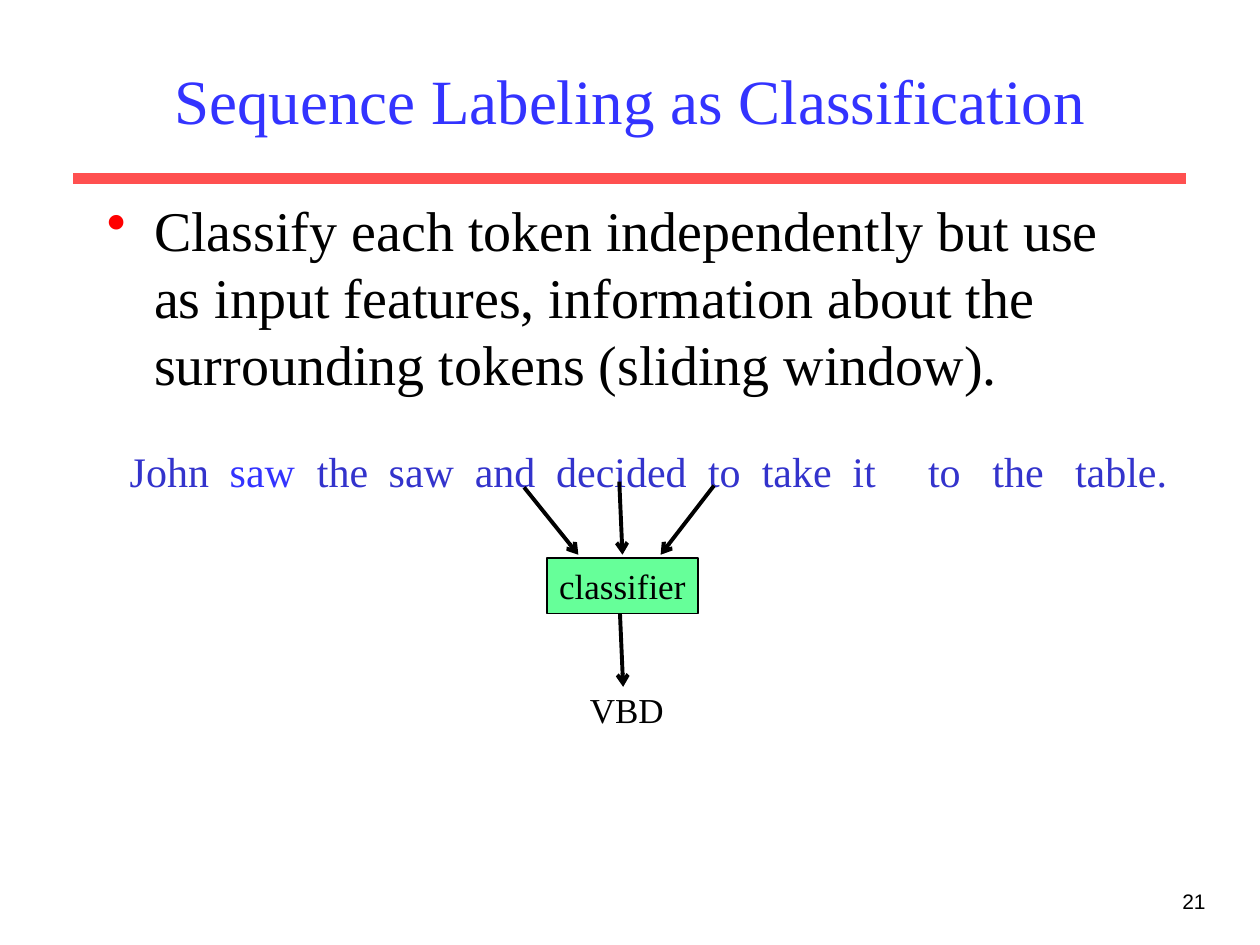
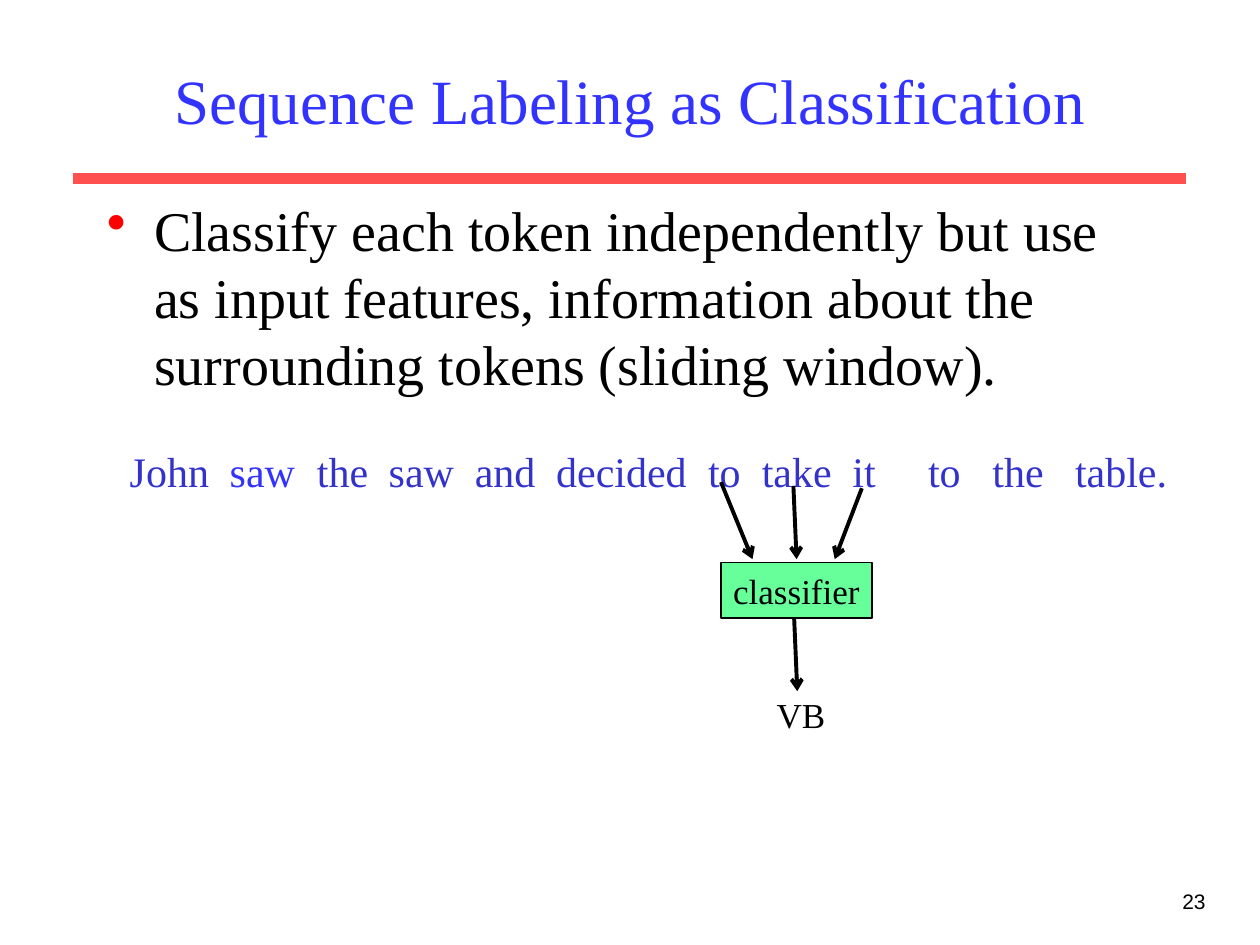
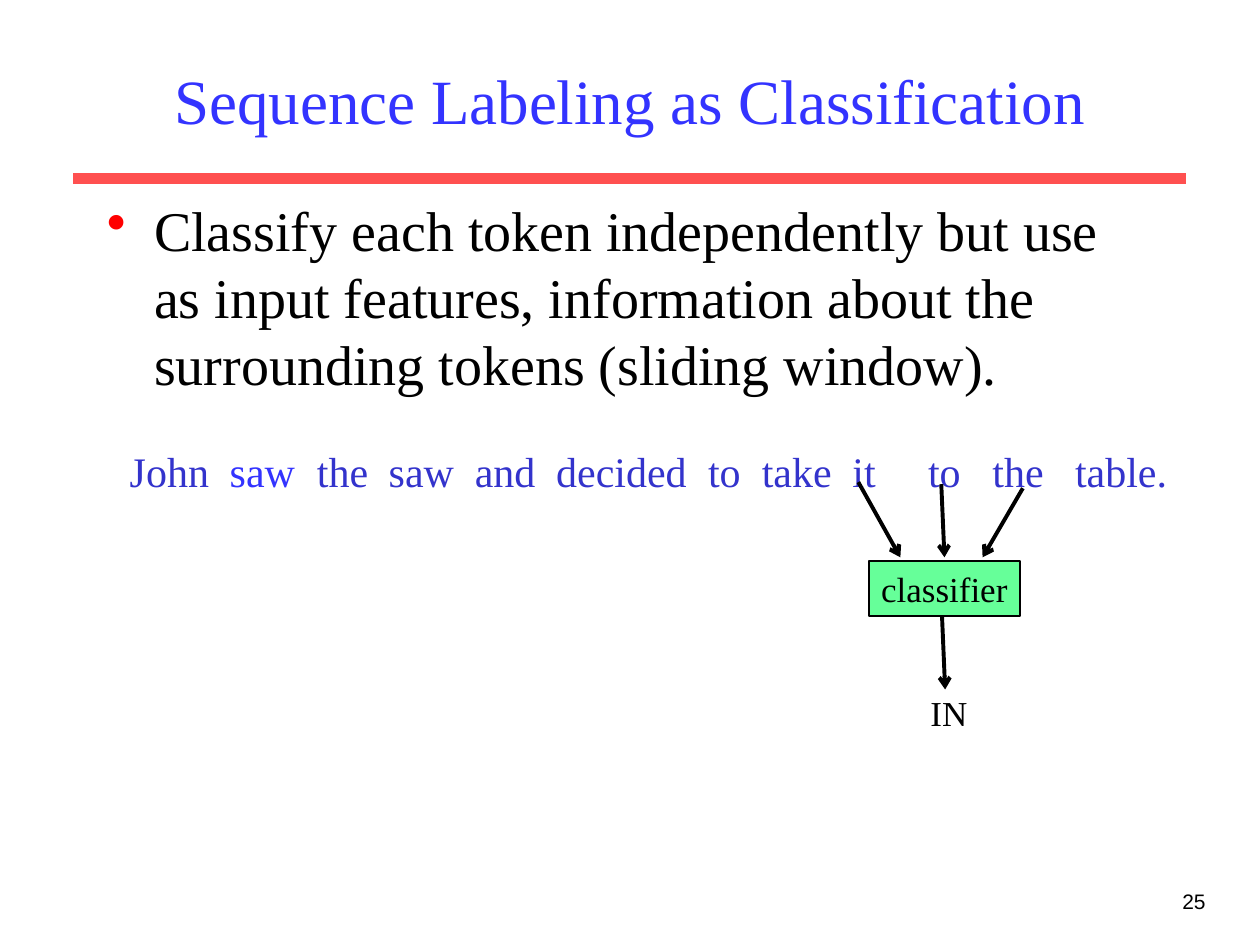
import pptx
import pptx.dml.color
import pptx.enum.shapes
import pptx.enum.text
import pptx.oxml
import pptx.oxml.ns
import pptx.util
from lxml import etree

Pt = pptx.util.Pt
ALIGN = pptx.enum.text.PP_ALIGN
ANCHOR = pptx.enum.text.MSO_ANCHOR
COLORS = {
    "title": "3333FF", "rule": "FF5050", "text": "000000", "bullet": "FF0000",
    "sentence": "3333CC", "focus": "3333FF", "classifier": "66FF99",
}
RGB = {name: pptx.dml.color.RGBColor.from_string(value) for name, value in COLORS.items()}
SERIF = "Times New Roman"

TITLE = "Sequence Labeling as Classification"
BODY = ("Classify each token independently but use as input features, "
        "information about the surrounding tokens (sliding window).")
# Each word of the sentence with its distance from the first one
WORDS = [("John", 0), ("saw", 57.15), ("the", 107), ("saw", 148), ("and", 197.2),
         ("decided", 243.7), ("to", 330.5), ("take", 361.2), ("it", 413),
         ("to", 456.2), ("the", 493), ("table.", 540.2)]
FOCUS = 1

# Classifier corner, and where the outer arrows start relative to it
SLIDES = [
    {"number": "21", "tag": "VBD", "tag_width": 57, "corner": (312.5, 319),
     "left": (-13, -40.5), "right": (95.5, -41.5)},
    {"number": "23", "tag": "VB", "tag_width": 42, "corner": (412, 321.5),
     "left": (0, -46), "right": (80.5, -42.5)},
    {"number": "25", "tag": "IN", "tag_width": 37, "corner": (496.5, 320.5),
     "left": (-6, -45), "right": (88, -41.5)},
]
BOX_WIDTH, BOX_HEIGHT = 86.4, 31.7


def write(sp, text, size, font=SERIF, color="text", align=ALIGN.LEFT, **frame):
    """Fill the first paragraph of a shape and return it."""
    tf = sp.text_frame
    for name, value in {"word_wrap": True, **frame}.items():
        setattr(tf, name, value)
    p = tf.paragraphs[0]
    p.alignment = align
    r = p.add_run()
    r.text = text
    r.font.name, r.font.size = font, Pt(size)
    r.font.color.rgb = RGB[color]
    return p


def draw_line(s, start, end, width, color="text", arrow=False):
    line = s.shapes.add_connector(pptx.enum.shapes.MSO_CONNECTOR.STRAIGHT,
                                  *(Pt(v) for v in (*start, *end)))
    line.line.width = Pt(width)
    line.line.color.rgb = RGB[color]
    if arrow:
        etree.SubElement(line.line._get_or_add_ln(), pptx.oxml.ns.qn("a:tailEnd"), type="arrow")
    etree.SubElement(line._element.spPr, pptx.oxml.ns.qn("a:effectLst"))


prs = pptx.Presentation()
prs.slide_width, prs.slide_height = Pt(720), Pt(540)

for info in SLIDES:
    s = prs.slides.add_slide(prs.slide_layouts[5])
    draw_line(s, (42, 102), (678, 102), 6, "rule")

    sp = s.shapes.add_textbox(Pt(546), Pt(504), Pt(150), Pt(36))
    write(sp, info["number"], 12, font="Arial", align=ALIGN.RIGHT)

    sp = s.shapes.title
    sp.left, sp.top, sp.width, sp.height = Pt(54), Pt(18), Pt(612), Pt(78)
    write(sp, TITLE, 36, color="title", align=ALIGN.CENTER, vertical_anchor=ANCHOR.MIDDLE)

    sp = s.shapes.add_textbox(Pt(54), Pt(108), Pt(612), Pt(369))
    p = write(sp, BODY, 32)
    pPr = p._p.get_or_add_pPr()
    pPr.set("marL", str(Pt(27)))
    pPr.set("indent", str(Pt(-27)))
    bullet_color = etree.SubElement(pPr, pptx.oxml.ns.qn("a:buClr"))
    etree.SubElement(bullet_color, pptx.oxml.ns.qn("a:srgbClr"), val=COLORS["bullet"])
    etree.SubElement(pPr, pptx.oxml.ns.qn("a:buChar"), char="•")

    sp = s.shapes.add_textbox(Pt(67), Pt(251), Pt(608), Pt(36))
    p = write(sp, WORDS[0][0], 24, color="sentence", margin_right=0)
    tabs = etree.SubElement(p._p.get_or_add_pPr(), pptx.oxml.ns.qn("a:tabLst"))
    for i, (word, offset) in enumerate(WORDS[1:], start=1):
        etree.SubElement(tabs, pptx.oxml.ns.qn("a:tab"), pos=str(Pt(offset)), algn="l")
        r = p.add_run()
        r.text = "\t" + word
        r.font.name, r.font.size = SERIF, Pt(24)
        r.font.color.rgb = RGB["focus" if i == FOCUS else "sentence"]

    x, y = info["corner"]
    sp = s.shapes.add_shape(pptx.enum.shapes.MSO_SHAPE.RECTANGLE,
                            Pt(x), Pt(y), Pt(BOX_WIDTH), Pt(BOX_HEIGHT))
    sp.shadow.inherit = False
    sp.fill.solid()
    sp.fill.fore_color.rgb = RGB["classifier"]
    sp.line.color.rgb = RGB["text"]
    sp.line.width = Pt(1)
    write(sp, "classifier", 20, align=ALIGN.CENTER,
          word_wrap=False, vertical_anchor=ANCHOR.MIDDLE)

    arrows = [(info["left"], (18, -2)), (info["right"], (65, -2)),
              ((41.4, -43.8), (43.2, -2)),
              ((41.8, BOX_HEIGHT), (43.6, BOX_HEIGHT + 41.8))]
    for (x1, y1), (x2, y2) in arrows:
        draw_line(s, (x + x1, y + y1), (x + x2, y + y2), 2.25, arrow=True)

    width = info["tag_width"]
    sp = s.shapes.add_textbox(Pt(x + 45.7 - width / 2), Pt(y + 71), Pt(width), Pt(31.7))
    write(sp, info["tag"], 20, align=ALIGN.CENTER, word_wrap=False,
          margin_left=Pt(4), margin_right=Pt(4))

prs.save("out.pptx")
